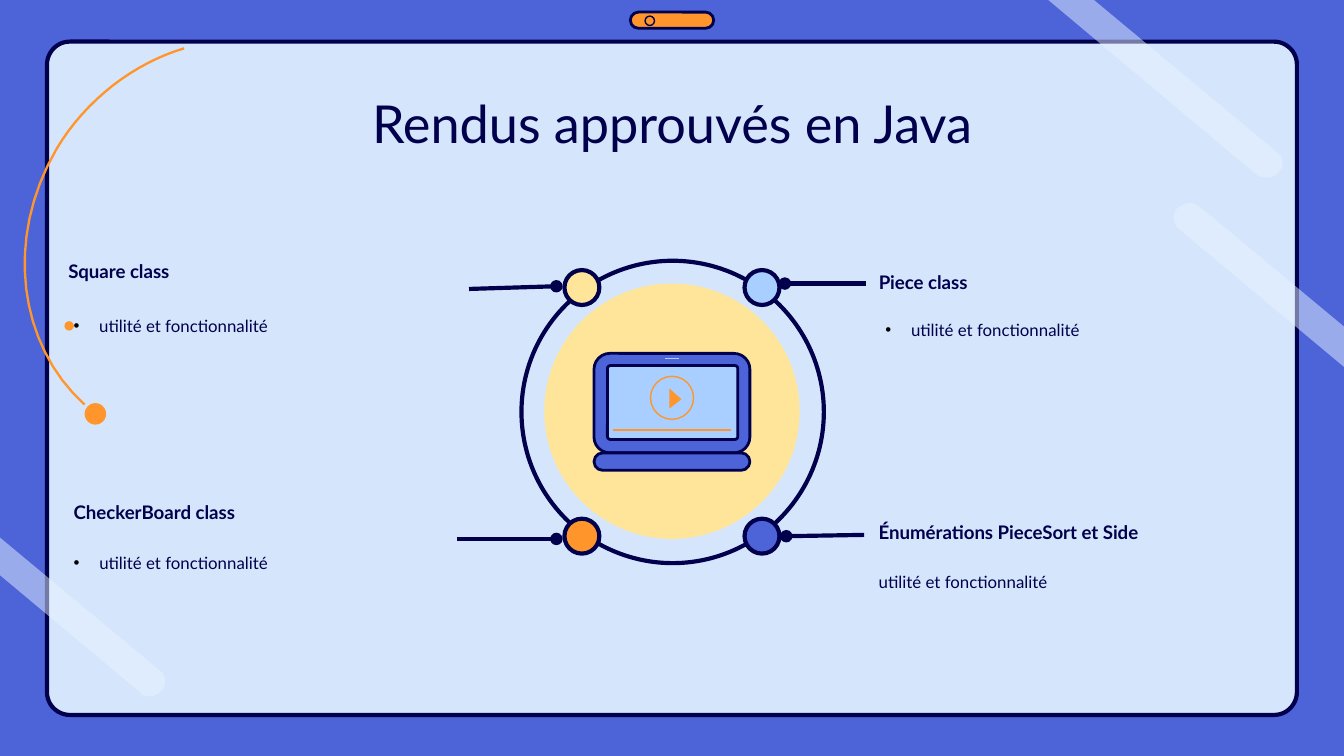
from lxml import etree
from pptx import Presentation
from pptx.dml.color import RGBColor
from pptx.enum.shapes import MSO_CONNECTOR, MSO_SHAPE
from pptx.enum.text import MSO_ANCHOR, MSO_AUTO_SIZE, PP_ALIGN
from pptx.oxml.ns import qn
from pptx.util import Inches, Pt

THEME = {
    "font": "Lato", "title": 28, "heading": 10, "body": 9,
    "navy": "00004D", "blue": "4C64D8", "pale": "D5E6FC", "sky": "A8CFFF",
    "orange": "FF952B", "yellow": "FFE599", "band": "E9F3FF", "bullet": "000000",
    "bullet_font": "Arial", "frame": 2.25, "device": 1.5, "arc": 1.25, "thin": 0.75,
}
TITLE = ("Rendus approuvés en Java", (0.79, 0.58, 8.42, 0.63))
DETAIL = "utilité et fonctionnalité"
TOPICS = [
    ("Square class", (0.41, 1.85, 3.1, 0.33), (0.45, 2.22, 3.1, 0.41), True),
    ("Piece class", (6.44, 1.95, 2.72, 0.3), (6.49, 2.2, 3.14, 0.51), True),
    ("CheckerBoard class", (0.45, 3.68, 2.65, 0.26), (0.45, 3.94, 3.41, 0.49), True),
    ("Énumérations PieceSort et Side", (6.44, 3.83, 3.14, 0.25), (6.44, 4.08, 2.27, 0.49), False),
]
NODES = ["yellow", "sky", "orange", "blue"]
LEADERS = [
    (3.49, 2.15, 4.14, 2.13), (6.44, 2.11, 5.84, 2.11),
    (3.4, 4.01, 4.14, 4.01), (6.43, 3.98, 5.85, 3.99),
]
ARC = [(0.63, 3.01), (0.14, 2.57, 0.03, 1.78, 0.42, 1.11), (0.64, 0.74, 1, 0.47, 1.37, 0.36)]
BANDS = [
    [(7.8, 0), (9.35, 1.3), (9.38, 1.32, 9.41, 1.32, 9.43, 1.32),
     (9.46, 1.32, 9.5, 1.31, 9.51, 1.28), (9.56, 1.25, 9.55, 1.17, 9.51, 1.14), (8.14, 0)],
    [(1.11, 5.18), (1.15, 5.18, 1.17, 5.17, 1.2, 5.14),
     (1.24, 5.11, 1.24, 5.03, 1.19, 4.99), (0, 4), (0, 4.28), (1.04, 5.15),
     (1.05, 5.17, 1.08, 5.18, 1.11, 5.18)],
    [(8.86, 1.51), (8.82, 1.51, 8.79, 1.53, 8.76, 1.55),
     (8.72, 1.59, 8.72, 1.67, 8.78, 1.71), (10, 2.73), (10, 2.43), (8.93, 1.54),
     (8.91, 1.53, 8.89, 1.51, 8.86, 1.51)],
]
PLAY = [(4.98, 2.89), (4.98, 3.04), (5.07, 2.97)]


def color(name):
    return RGBColor.from_string(THEME[name])


def paint(sp, fill=None, line=None, width=0):
    sp.shadow.inherit = False
    if fill:
        sp.fill.solid()
        sp.fill.fore_color.rgb = color(fill)
    else:
        sp.fill.background()
    if line:
        sp.line.color.rgb = color(line)
        sp.line.width = Pt(width)
    else:
        sp.line.fill.background()
    return sp


def add_preset(kind, box, fill=None, line=None, width=0, radius=None):
    sp = s.shapes.add_shape(kind, *map(Inches, box))
    if radius is not None:
        sp.adjustments[0] = radius
    return paint(sp, fill, line, width)


def flatten(path, steps=16):
    points = [path[0]]
    for seg in path[1:]:
        if len(seg) == 2:
            points.append(seg)
            continue
        ctrl = [points[-1], seg[:2], seg[2:4], seg[4:]]
        for i in range(1, steps + 1):
            t = i / steps
            weights = ((1 - t) ** 3, 3 * t * (1 - t) ** 2, 3 * t * t * (1 - t), t ** 3)
            points.append(tuple(sum(w * c[axis] for w, c in zip(weights, ctrl)) for axis in (0, 1)))
    return points


def add_outline(path, close=True, **style):
    points = [(Inches(x), Inches(y)) for x, y in flatten(path)]
    builder = s.shapes.build_freeform(*points[0], scale=1.0)
    builder.add_line_segments(points[1:], close=close)
    return paint(builder.convert_to_shape(), **style)


def add_line(ends, line, width, dot=False):
    cx = s.shapes.add_connector(MSO_CONNECTOR.STRAIGHT, *map(Inches, ends))
    cx.line.color.rgb = color(line)
    cx.line.width = Pt(width)
    if dot:
        etree.SubElement(cx._element.spPr.find(qn("a:ln")), qn("a:tailEnd"), type="oval")
    etree.SubElement(cx._element.spPr, qn("a:effectLst"))


def write(sp, text, size, bold=False, align=PP_ALIGN.LEFT, anchor=MSO_ANCHOR.MIDDLE, bullet=False):
    tf = sp.text_frame
    tf.text = text
    tf.word_wrap = True
    tf.auto_size = MSO_AUTO_SIZE.NONE
    tf.vertical_anchor = anchor
    tf.margin_left = tf.margin_right = tf.margin_top = tf.margin_bottom = Inches(0.1)
    p = tf.paragraphs[0]
    p.alignment = align
    if bullet:
        pPr = p._p.get_or_add_pPr()
        pPr.set("marL", str(Inches(0.19)))
        pPr.set("indent", str(-Inches(0.19)))
        clr = etree.SubElement(pPr, qn("a:buClr"))
        etree.SubElement(clr, qn("a:srgbClr"), val=THEME["bullet"])
        etree.SubElement(pPr, qn("a:buFont"), typeface=THEME["bullet_font"])
        etree.SubElement(pPr, qn("a:buChar"), char="•")
    font = p.runs[0].font
    font.name, font.size, font.bold = THEME["font"], Pt(THEME[size]), bold
    font.color.rgb = color("navy")


def add_text(box, *args, **style):
    write(s.shapes.add_textbox(*map(Inches, box)), *args, **style)


prs = Presentation()
prs.slide_width = Inches(10)
prs.slide_height = prs.slide_width * 9 // 16
s = prs.slides.add_slide(prs.slide_layouts[5])
s.background.fill.solid()
s.background.fill.fore_color.rgb = color("blue")
ROUND, OVAL = MSO_SHAPE.ROUNDED_RECTANGLE, MSO_SHAPE.OVAL
frame, device, thin = THEME["frame"], THEME["device"], THEME["thin"]

add_preset(ROUND, (0.35, 0.31, 9.3, 5.01), "pale", "navy", frame, 0.034)
add_preset(ROUND, (4.69, 0.09, 0.62, 0.12), "orange", "navy", device, 0.5)
add_preset(OVAL, (4.8, 0.12, 0.07, 0.07), None, "navy", thin)
add_outline(ARC, close=False, line="orange", width=THEME["arc"])
for box in [(0.48, 2.39, 0.07, 0.07), (0.63, 3, 0.16, 0.16)]:
    add_preset(OVAL, box, "orange")
for band in BANDS:
    sp = add_outline(band, fill="band")
    clr = sp._element.spPr.find(qn("a:solidFill"))[0]
    etree.SubElement(clr, qn("a:alpha"), val="50000")

title = s.shapes.title
title.left, title.top, title.width, title.height = map(Inches, TITLE[1])
write(title, TITLE[0], "title", align=PP_ALIGN.CENTER, anchor=MSO_ANCHOR.TOP)
s.shapes._spTree.append(title._element)

add_preset(OVAL, (4.05, 2.11, 1.9, 1.9), "yellow")
add_preset(OVAL, (3.88, 1.94, 2.25, 2.25), None, "navy", frame)
add_preset(ROUND, (4.42, 2.63, 1.16, 0.74), "blue", "navy", device, 0.16)
add_preset(ROUND, (4.52, 2.72, 0.97, 0.55), "sky", "navy", device, 0.04)
add_preset(OVAL, (4.84, 2.8, 0.32, 0.32), None, "orange", thin)
add_outline(PLAY, fill="orange")
add_line((4.56, 3.2, 5.44, 3.2), "orange", thin)
add_line((4.95, 2.67, 5.05, 2.67), "sky", thin)
add_preset(ROUND, (4.42, 3.37, 1.16, 0.13), "blue", "navy", device, 0.5)

for heading, heading_box, detail_box, bullet in TOPICS:
    add_text(detail_box, DETAIL, "body", bullet=bullet)
    add_text(heading_box, heading, "heading", bold=True)

for i, (fill, leader) in enumerate(zip(NODES, LEADERS)):
    row, col = divmod(i, 2)
    add_line(leader, "navy", frame, dot=True)
    add_preset(OVAL, (4.2 + 1.34 * col, 2.01 + 1.85 * row, 0.26, 0.26), fill, "navy", frame)

prs.save("out.pptx")
